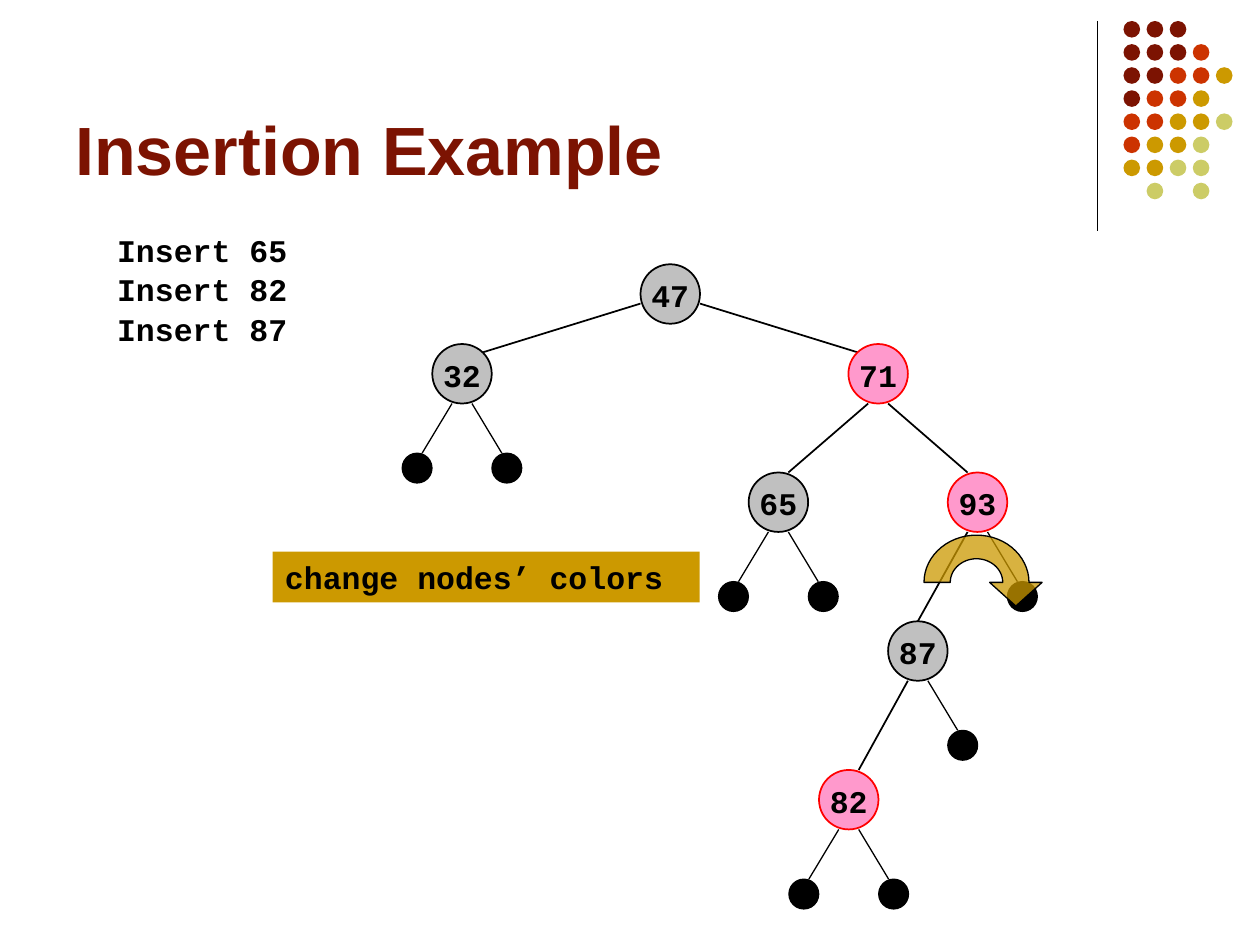
import math

from lxml import etree
from pptx import Presentation
from pptx import util as u
from pptx.dml.color import RGBColor
from pptx.enum import shapes, text
from pptx.oxml import ns

Pt = u.Pt
COLORS = {
    "black": "000000", "gray": "C0C0C0", "pink": "FF99CC", "red": "FF0000",
    "maroon": "7C1302", "rust": "CC3300", "gold": "CC9900", "olive": "CCCC66",
}
NODE, LEAF, SHIFT = 34, 17, 5.7  # diameters, and edge offset from a node's centre

# Key: (left, top, is red)
NODES = {
    "47": (366, 151, False), "32": (247, 196.6, False), "71": (484.8, 196.6, True),
    "65": (427.8, 270, False), "93": (541.6, 270, True),
    "87": (507.5, 355, False), "82": (468, 440, True),
}
# Parent, child, side of the child, edge offset at the child
EDGES = [("71", "65", -1, SHIFT), ("71", "93", 1, SHIFT),
         ("93", "87", -1, 0), ("87", "82", -1, SHIFT)]
LEAVES = {"32": (-1, 1), "65": (-1, 1), "93": (1,), "87": (1,), "82": (-1, 1)}

# One letter per dot: maroon, rust, gold, olive
DOT_COLORS = {"m": "maroon", "r": "rust", "g": "gold", "o": "olive"}
DOT_ROWS = ["mmm", "mmmr", "mmrrg", "mrrg", "rrggo", "rggo", "ggoo", " o o"]


def rgb(name):
    return RGBColor.from_string(COLORS[name])


def paint(shape, fill, line=None, width=1):
    shape.shadow.inherit = False
    shape.fill.solid()
    shape.fill.fore_color.rgb = rgb(fill)
    if line:
        shape.line.color.rgb = rgb(line)
        shape.line.width = Pt(width)
    else:
        shape.line.fill.background()


def add_oval(page, left, top, size, fill, line=None, width=1):
    oval = page.shapes.add_shape(
        shapes.MSO_SHAPE.OVAL, Pt(left), Pt(top), Pt(size), Pt(size))
    paint(oval, fill, line, width)
    return oval


def add_line(page, x1, y1, x2, y2, width=1):
    line = page.shapes.add_connector(
        shapes.MSO_CONNECTOR.STRAIGHT, Pt(x1), Pt(y1), Pt(x2), Pt(y2))
    line.line.color.rgb = rgb("black")
    line.line.width = Pt(width)
    etree.SubElement(line._element.spPr, ns.qn("a:effectLst"))


def write(shape, words, size=18, font="Courier New", color="black",
          align=text.PP_ALIGN.LEFT, anchor=text.MSO_ANCHOR.TOP):
    frame = shape.text_frame
    frame.text = words
    frame.word_wrap = True
    frame.vertical_anchor = anchor
    para = frame.paragraphs[0]
    para.alignment = align
    span = para.runs[0]
    span.font.name = font
    span.font.size = Pt(size)
    span.font.bold = True
    span.font.color.rgb = rgb(color)


def add_text(page, words, left, top, width, height, **style):
    box = page.shapes.add_textbox(Pt(left), Pt(top), Pt(width), Pt(height))
    write(box, words, **style)


def add_node(page, key):
    left, top, is_red = NODES[key]
    fill, line = ("pink", "red") if is_red else ("gray", "black")
    node = add_oval(page, left, top, NODE, fill, line)
    write(node, key, align=text.PP_ALIGN.CENTER, anchor=text.MSO_ANCHOR.MIDDLE)
    frame = node.text_frame
    frame.word_wrap = False
    frame.margin_left = frame.margin_right = frame.margin_bottom = 0
    frame.margin_top = Pt(1)


def add_edge(page, parent, child, side, child_shift):
    left, top, _ = NODES[parent]
    child_left, child_top, _ = NODES[child]
    add_line(page, left + NODE / 2 + side * SHIFT, top + NODE,
             child_left + NODE / 2 - side * child_shift, child_top)


def add_leaf(page, parent, side):
    left, top, _ = NODES[parent]
    center, bottom = left + NODE / 2, top + NODE
    leaf_top = bottom + 28.4
    add_line(page, center + side * SHIFT, bottom,
             center + side * 4 * SHIFT, leaf_top, 0.75)
    add_oval(page, center + side * 4.5 * SHIFT - LEAF / 2, leaf_top,
             LEAF, "black", "black", 0.75)


def add_dots(page):
    for row, letters in enumerate(DOT_ROWS):
        for column, letter in enumerate(letters):
            if letter in DOT_COLORS:
                add_oval(page, 642 + 13.2 * column, 12 + 13.2 * row,
                         9.5, DOT_COLORS[letter])


def half_ring(x, y, radius_x, radius_y):
    """Points of the upper half of an ellipse, from left to right."""
    angles = [math.radians(180 - step) for step in range(0, 181, 6)]
    return [(x + radius_x * math.cos(a), y - radius_y * math.sin(a)) for a in angles]


def add_rotation_arrow(page):
    x, y = 558, 332.8
    inner = half_ring(x, y, 15, 13.5)
    outer = half_ring(x, y, 30, 27)
    head = [(x + 37.5, y), (x + 22.5, y + 13.5), (x + 7.5, y)]
    points = [(Pt(px), Pt(py)) for px, py in inner[::-1] + outer + head]
    builder = page.shapes.build_freeform(*points[0])
    builder.add_line_segments(points[1:], close=True)
    arrow = builder.convert_to_shape()
    paint(arrow, "gold", "black", 0.75)
    color = arrow._element.spPr.find(ns.qn("a:solidFill"))[0]
    etree.SubElement(color, ns.qn("a:alpha"), val="75000")


def main():
    deck = Presentation()
    deck.slide_width, deck.slide_height = Pt(720), Pt(540)
    page = deck.slides.add_slide(deck.slide_layouts[6])

    # Corner decoration
    add_line(page, 627, 12, 627, 132, 0.75)
    add_dots(page)

    # Title and list of insertions
    add_text(page, "Insertion Example", 36, 9.4, 594, 102, size=39, font="Arial",
             color="maroon", anchor=text.MSO_ANCHOR.BOTTOM)
    for index, key in enumerate((65, 82, 87)):
        add_text(page, f"Insert {key}", 59.8, 128.3 + 22.7 * index, 187, 29)

    # Tree: the root's edges leave from its sides
    left, top, _ = NODES["47"]
    center = left + NODE / 2
    for side in (-1, 1):
        add_line(page, center + side * NODE / 2, top + 22.5,
                 center + side * 107.6, top + 50.5)
    for edge in EDGES:
        add_edge(page, *edge)
    for parent, sides in LEAVES.items():
        for side in sides:
            add_leaf(page, parent, side)
    for key in NODES:
        add_node(page, key)

    # Current step
    banner = page.shapes.add_shape(
        shapes.MSO_SHAPE.RECTANGLE, Pt(155.8), Pt(315.2), Pt(244), Pt(29))
    paint(banner, "gold")
    write(banner, "change nodes’ colors")
    add_rotation_arrow(page)

    deck.save("out.pptx")


if __name__ == "__main__":
    main()
